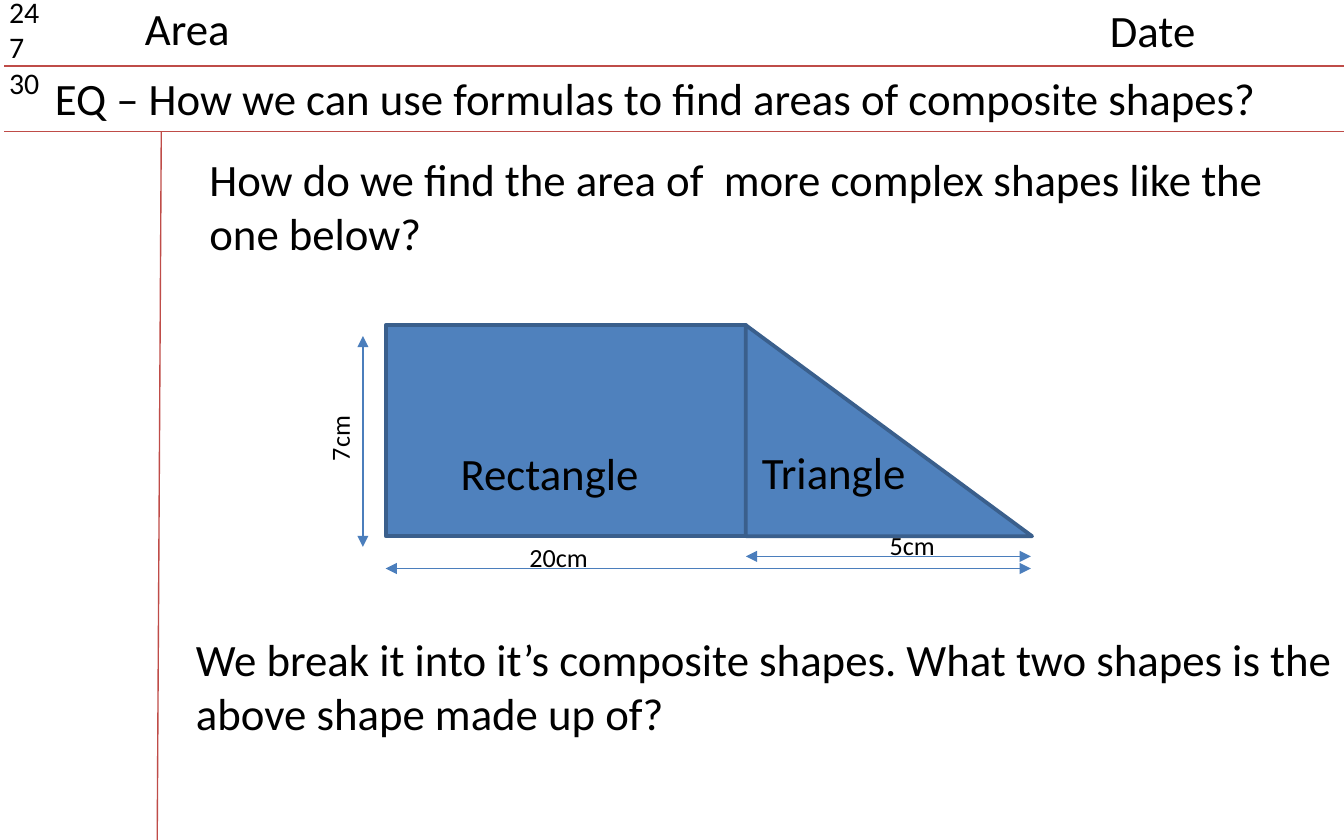
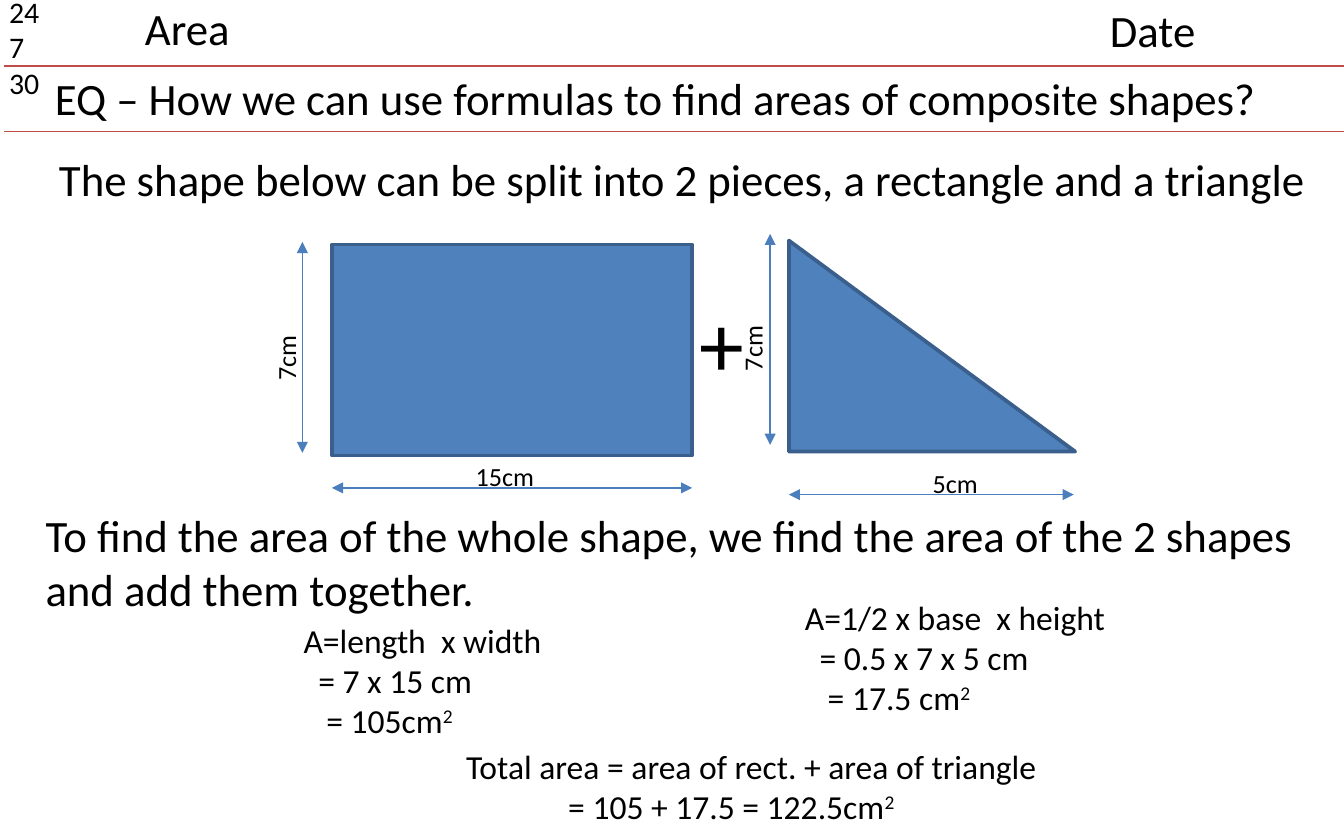
from dataclasses import dataclass

from lxml import etree
from pptx import Presentation
from pptx import util as u
from pptx.dml.color import RGBColor
from pptx.enum import shapes, text
from pptx.oxml import ns
from pptx.slide import Slide

PX = 9144  # EMU, 100 px to the inch
WIDTH, HEIGHT = 1000, 625

BLACK = RGBColor(0x00, 0x00, 0x00)
RULE_RED = RGBColor(0xBF, 0x4C, 0x48)
ARROW_BLUE = RGBColor(0x4B, 0x7E, 0xBC)
FILL_BLUE = RGBColor(0x4F, 0x81, 0xBD)
EDGE_BLUE = RGBColor(0x3A, 0x5F, 0x8C)

FONT = "Calibri"
BODY, WORKING, NUMBERS, LABEL, PLUS = 24, 18, 16, 14, 48

SHAPE_HEIGHT, RECTANGLE_WIDTH, TRIANGLE_WIDTH = 157, 268, 213
LABEL_WIDTH, LABEL_HEIGHT = 102, 34
RULE_TOP, RULE_BOTTOM = 49, 98


@dataclass(frozen=True)
class Line:
    text: str
    indent: int = 0
    exponent: str = ""


@dataclass(frozen=True)
class Box:
    x: int
    y: int
    w: int
    h: int
    lines: tuple[Line, ...]
    size: int = BODY
    wrap: bool = True
    rotation: int = 0


@dataclass(frozen=True)
class Span:
    """A measured length; dx and dy place its label from its top left end."""
    label: str
    x: int
    y: int
    length: int
    dx: int = 97
    dy: int = -25
    upright: bool = False


HEADER = (
    Box(-3, -10, 63, 91, (Line("24"), Line("7"), Line("30")), NUMBERS),
    Box(98, -4, 84, 50, (Line("Area"),), wrap=False),
    Box(816, -3, 173, 50, (Line("Date"),)),
    Box(31, 48, 928, 50, (Line(
        "EQ – How we can use formulas to find areas of composite shapes?"),)),
)

QUESTION_TEXTS = (
    Box(146, 108, 814, 91, (Line(
        "How do we find the area of  more complex shapes like the one below?"),)),
    Box(136, 465, 891, 91, (Line(
        "We break it into it’s composite shapes. "
        "What two shapes is the above shape made up of?"),)),
    Box(333, 327, 154, 50, (Line("Rectangle"),), wrap=False),
    Box(557, 326, 128, 50, (Line("Triangle"),), wrap=False),
)
QUESTION_SPANS = (
    Span("20cm", 287, 423, 480),
    Span("7cm", 270, 250, SHAPE_HEIGHT, -68, 35, upright=True),
    Span("5cm", 555, 414, 212),
)

SOLUTION_TEXTS = (
    Box(34, 108, 969, 50, (Line(
        "The shape below can be split into 2 pieces, a rectangle and a triangle"),)),
    Box(24, 373, 969, 91, (Line(
        "To find the area of the whole shape, we find the area of the 2 shapes "
        "and add them together."),)),
    Box(511, 209, 110, 91, (Line("+"),), PLUS),
    Box(216, 456, 292, 101, (
        Line("A=length  x width"),
        Line("= 7 x 15 cm", 11),
        Line("= 105cm", 17, "2")), WORKING),
    Box(589, 439, 292, 101, (
        Line("A=1/2 x base  x height"),
        Line("= 0.5 x 7 x 5 cm", 11),
        Line("= 17.5 cm", 17, "2")), WORKING),
    Box(337, 550, 460, 71, (
        Line("Total area = area of rect. + area of triangle"),
        Line("= 105 + 17.5 = 122.5cm", 76, "2")), WORKING),
)
SOLUTION_SPANS = (
    Span("15cm", 247, 363, RECTANGLE_WIDTH),
    Span("7cm", 225, 180, SHAPE_HEIGHT, -63, 45, upright=True),
    Span("5cm", 587, 368, 212),
    Span("7cm", 573, 174, SHAPE_HEIGHT, -64, 44, upright=True),
)


def px(n: int) -> u.Emu:
    return u.Emu(n * PX)


def add_run(p, content: str, size: int, raised: bool = False) -> None:
    r = p.add_run()
    r.text = content
    r.font.name = FONT
    r.font.size = u.Pt(size)
    r.font.color.rgb = BLACK
    if raised:
        r.font._element.set("baseline", "30000")


def add_text(s: Slide, box: Box) -> None:
    sp = s.shapes.add_textbox(px(box.x), px(box.y), px(box.w), px(box.h))
    sp.rotation = box.rotation
    tf = sp.text_frame
    tf.word_wrap = box.wrap
    tf.auto_size = text.MSO_AUTO_SIZE.SHAPE_TO_FIT_TEXT
    for i, line in enumerate(box.lines):
        p = tf.add_paragraph() if i else tf.paragraphs[0]
        if line.indent:
            p._p.get_or_add_pPr().set("marL", str(px(line.indent)))
        add_run(p, line.text, box.size)
        if line.exponent:
            add_run(p, line.exponent, box.size, raised=True)


def add_line(s: Slide, x1: int, y1: int, x2: int, y2: int,
             color: RGBColor = RULE_RED, arrows: bool = False) -> None:
    sp = s.shapes.add_connector(shapes.MSO_CONNECTOR.STRAIGHT,
                                px(x1), px(y1), px(x2), px(y2))
    sp.line.color.rgb = color
    sp.line.width = u.Pt(0.75)
    if arrows:
        for end in ("a:headEnd", "a:tailEnd"):
            etree.SubElement(sp.get_or_add_ln(), ns.qn(end), type="triangle")
    etree.SubElement(sp._element.spPr, ns.qn("a:effectLst"))


def add_span(s: Slide, span: Span) -> None:
    x2 = span.x if span.upright else span.x + span.length
    y2 = span.y + span.length if span.upright else span.y
    add_line(s, span.x, span.y, x2, y2, ARROW_BLUE, arrows=True)
    add_text(s, Box(span.x + span.dx, span.y + span.dy, LABEL_WIDTH, LABEL_HEIGHT,
                    (Line(span.label),), LABEL,
                    rotation=270 if span.upright else 0))


def add_figure(s: Slide, kind: shapes.MSO_SHAPE, x: int, y: int, w: int) -> None:
    sp = s.shapes.add_shape(kind, px(x), px(y), px(w), px(SHAPE_HEIGHT))
    sp.shadow.inherit = False
    sp.fill.solid()
    sp.fill.fore_color.rgb = FILL_BLUE
    sp.line.color.rgb = EDGE_BLUE
    sp.line.width = u.Pt(2)


def add_page(prs, rectangle: tuple[int, int], triangle: tuple[int, int],
             spans: tuple[Span, ...], boxes: tuple[Box, ...]) -> Slide:
    """Add a ruled notebook page with its header, figures, lengths and text."""
    s = prs.slides.add_slide(prs.slide_layouts[6])
    for y in (RULE_TOP, RULE_BOTTOM):
        add_line(s, 3, y, WIDTH + 3, y)
    for box in HEADER:
        add_text(s, box)
    add_figure(s, shapes.MSO_SHAPE.RECTANGLE, *rectangle, RECTANGLE_WIDTH)
    add_figure(s, shapes.MSO_SHAPE.RIGHT_TRIANGLE, *triangle, TRIANGLE_WIDTH)
    for span in spans:
        add_span(s, span)
    for box in boxes:
        add_text(s, box)
    return s


def main() -> None:
    prs = Presentation()
    prs.slide_width, prs.slide_height = px(WIDTH), px(HEIGHT)
    question = add_page(prs, (287, 242), (287 + RECTANGLE_WIDTH, 242),
                        QUESTION_SPANS, QUESTION_TEXTS)
    add_line(question, 120, RULE_BOTTOM, 117, HEIGHT)
    add_page(prs, (247, 182), (587, 179), SOLUTION_SPANS, SOLUTION_TEXTS)
    prs.save("out.pptx")


if __name__ == "__main__":
    main()
